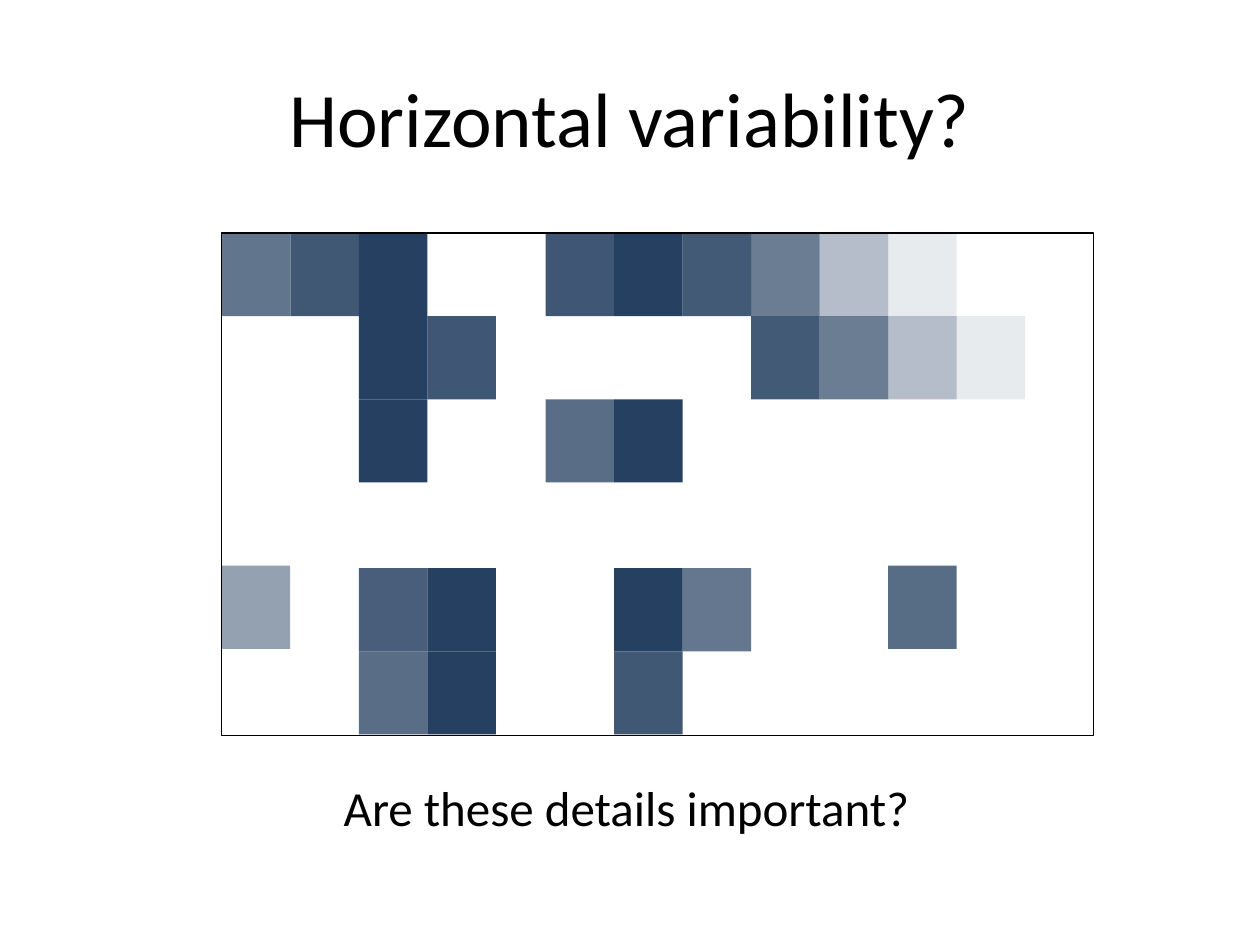
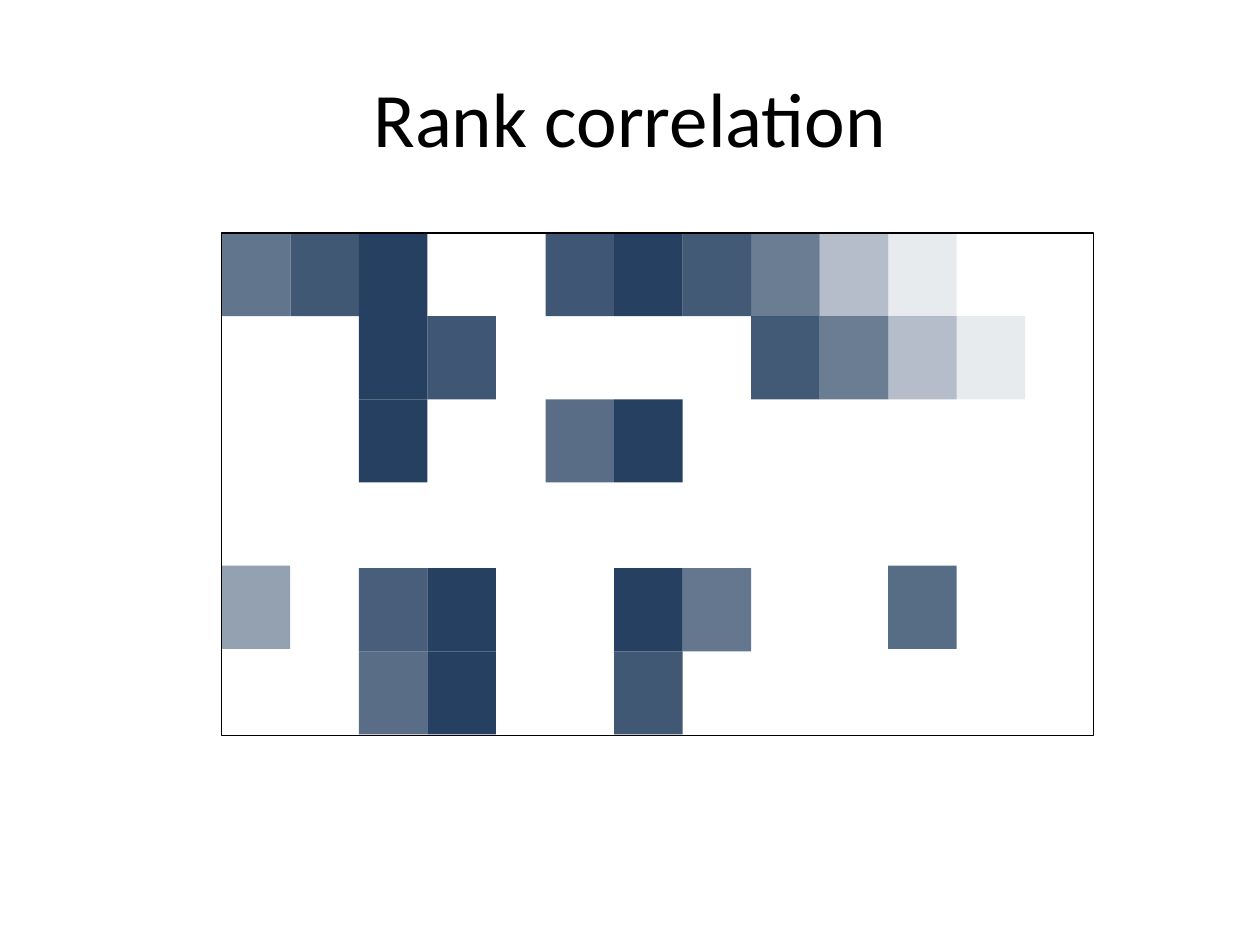
import pptx
import pptx.util
import pptx.dml.color
import pptx.enum.shapes
import pptx.enum.text
import pptx.oxml.ns
import lxml.etree

Inches = pptx.util.Inches
COLORS = {"cell": "254061", "ink": "000000", "page": "FFFFFF"}
FONT = "Calibri"
TITLE_BOX = (0.5, 0.3, 9, 1.25)
GRID_BOX = (1.76, 1.85, 6.92, 3.99)
CAPTION_BOX = (2.63, 6.12, 4.76, 0.57)

CELL_HEIGHT = 0.66
RIGHT_GROUP_START = 2.57
LEFT_COLUMNS = 4
RIGHT_COLUMNS = 8
LOWER_ROWS_START = 2.66

# = None
UPPER_ROWS = [
    {0: 72, 1: 87, 2: 100, 4: 88, 5: 100, 6: 86, 7: 68, 8: 34, 9: 10},
    {2: 100, 3: 88, 7: 86, 8: 68, 9: 34, 10: 10},
    {2: 100, 4: 76, 5: 100},
    {},
    {0: 49, 9: 77},
]
LOWER_ROWS = [
    {2: 84, 3: 100, 5: 100, 6: 71},
    {2: 76, 3: 100, 5: 87},
]


def rgb(name):
    return pptx.dml.color.RGBColor.from_string(COLORS[name])


def add_text(page, box, text, size, centered=False):
    shape = page.shapes.add_textbox(*map(Inches, box))
    frame = shape.text_frame
    frame.text = text
    frame.word_wrap = centered
    para = frame.paragraphs[0]
    if centered:
        frame.vertical_anchor = pptx.enum.text.MSO_ANCHOR.MIDDLE
        para.alignment = pptx.enum.text.PP_ALIGN.CENTER
    else:
        frame.auto_size = pptx.enum.text.MSO_AUTO_SIZE.SHAPE_TO_FIT_TEXT
    font = para.runs[0].font
    font.name = FONT
    font.size = pptx.util.Pt(size)
    font.color.rgb = rgb("ink")


def add_rectangle(page, box):
    shape = page.shapes.add_shape(
        pptx.enum.shapes.MSO_SHAPE.RECTANGLE, *map(Inches, box))
    shape.shadow.inherit = False
    return shape


def add_cell(page, box, opacity):
    cell = add_rectangle(page, box)
    cell.fill.solid()
    cell.fill.fore_color.rgb = rgb("cell")
    cell.line.fill.background()
    if opacity < 100:
        color = cell.fill._xPr.find(".//" + pptx.oxml.ns.qn("a:srgbClr"))
        alpha = lxml.etree.SubElement(color, pptx.oxml.ns.qn("a:alpha"))
        alpha.set("val", str(opacity * 1000))


def add_variability_grid(page, box):
    left, top, width, height = box
    pitch = (width - RIGHT_GROUP_START) / RIGHT_COLUMNS
    for first_row, rows in ((0, UPPER_ROWS), (LOWER_ROWS_START, LOWER_ROWS)):
        for row, cells in enumerate(rows):
            y = top + first_row + row * CELL_HEIGHT
            for column, opacity in cells.items():
                if column < LEFT_COLUMNS:
                    x = left + column * pitch
                else:
                    x = left + RIGHT_GROUP_START + (column - LEFT_COLUMNS) * pitch
                add_cell(page, (x, y, pitch, CELL_HEIGHT), opacity)
    outline = add_rectangle(page, box)
    outline.fill.background()
    outline.line.color.rgb = rgb("ink")
    outline.line.width = pptx.util.Pt(0.75)


def add_grid_page(deck, title, caption=None):
    page = deck.slides.add_slide(deck.slide_layouts[6])
    page.background.fill.solid()
    page.background.fill.fore_color.rgb = rgb("page")
    add_text(page, TITLE_BOX, title, 44, centered=True)
    add_variability_grid(page, GRID_BOX)
    if caption:
        add_text(page, CAPTION_BOX, caption, 28)


def main():
    deck = pptx.Presentation()
    deck.slide_width = Inches(10)
    deck.slide_height = Inches(7.5)
    add_grid_page(deck, "Horizontal variability?", "Are these details important?")
    add_grid_page(deck, "Rank correlation")
    deck.save("out.pptx")


if __name__ == "__main__":
    main()
